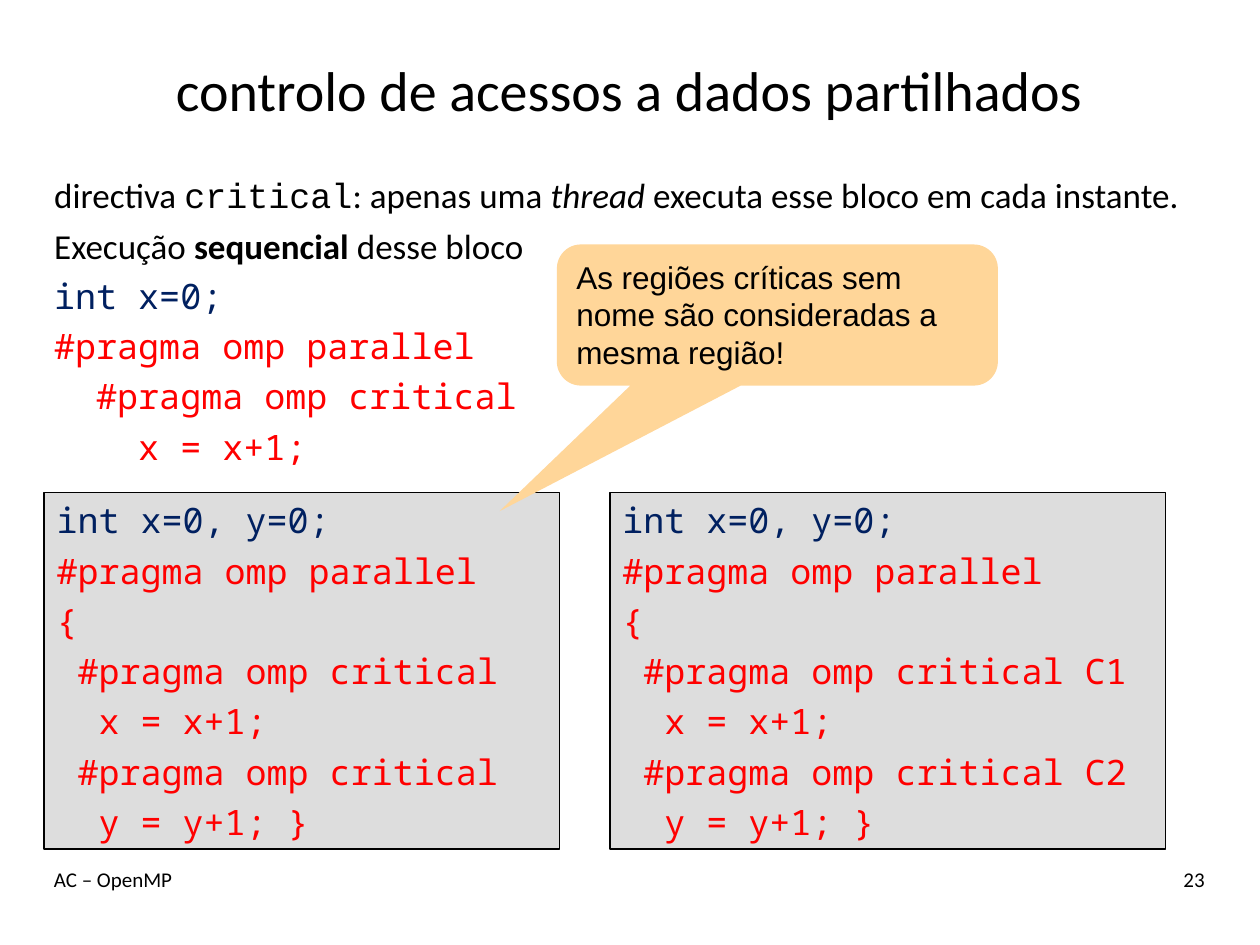
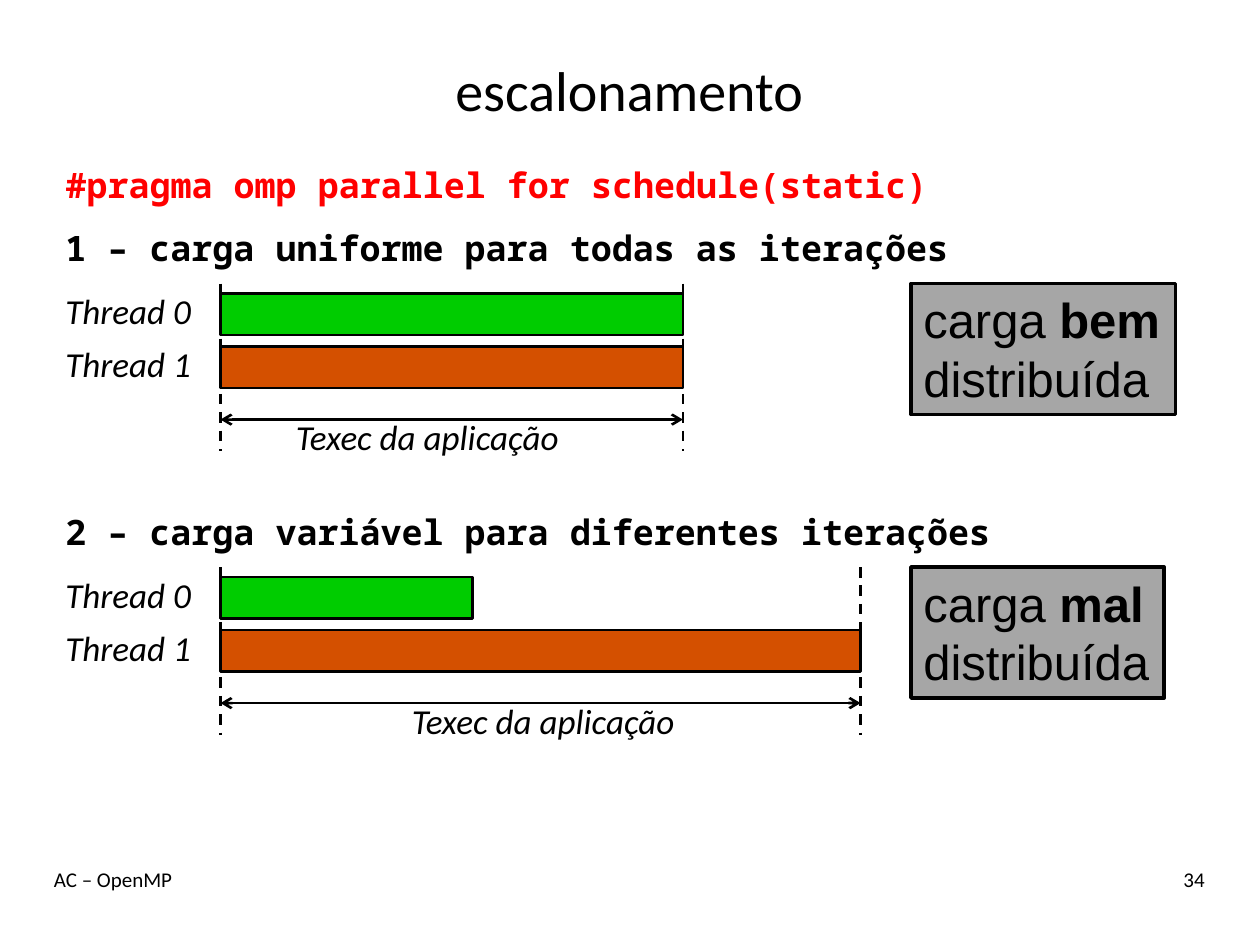
from lxml.etree import SubElement
from pptx import Presentation
from pptx.dml.color import RGBColor as RGB
from pptx.enum.dml import MSO_LINE as Dash
from pptx.enum.shapes import MSO_CONNECTOR as Wire, MSO_SHAPE as Kind
from pptx.enum.text import MSO_ANCHOR as Anchor, MSO_AUTO_SIZE as Fit, PP_ALIGN as Align
from pptx.oxml.ns import qn
from pptx.util import Inches, Pt

BLACK, RED, NAVY = "000000", "FF0000", "002060"
GREEN, RUST, PEACH = "00CC00", "D45000", "FFD699"
PALE, GREY = "DDDDDD", "A6A6A6"
SANS, MONO, ARIAL = "Calibri", "Noto Sans Mono", "Arial"
LEFT = 1.75
BAR = 0.33


def tint(code):
    return RGB.from_string(code)


def run(text, size=20, font=SANS, color=BLACK, bold=False, slant=False):
    return text, size, font, color, bold, slant


def code(text, color=RED, bold=False):
    return run(text, font=MONO, color=color, bold=bold)


def write(frame, lines, align=Align.LEFT, anchor=Anchor.TOP, gap=0, wrap=True, plain=False):
    frame.auto_size = Fit.NONE
    frame.word_wrap = wrap
    frame.vertical_anchor = anchor
    for n, line in enumerate(lines):
        para = frame.add_paragraph() if n else frame.paragraphs[0]
        if plain:
            props = para._p.get_or_add_pPr()
            props.set("marL", "0")
            props.set("indent", "0")
            SubElement(props, qn("a:buNone"))
        para.alignment = align
        para.space_before = Pt(gap if n else 0)
        for text, size, font, color, bold, slant in line:
            part = para.add_run()
            part.text = text
            face = part.font
            face.size, face.name = Pt(size), font
            face.bold, face.italic = bold, slant
            face.color.rgb = tint(color)


def place(item, box):
    item.left, item.top, item.width, item.height = map(Inches, box)


def label(slide, box, line, **style):
    item = slide.shapes.add_textbox(*map(Inches, box))
    write(item.text_frame, [line], **style)


def shape(slide, box, fill, edge=None, kind=Kind.RECTANGLE):
    item = slide.shapes.add_shape(kind, *map(Inches, box))
    item.shadow.inherit = False
    item.fill.solid()
    item.fill.fore_color.rgb = tint(fill)
    if edge:
        item.line.color.rgb = tint(BLACK)
        item.line.width = Pt(edge)
    else:
        item.line.fill.background()
    return item


def rule(slide, start, end, arrow=False):
    item = slide.shapes.add_connector(Wire.STRAIGHT, *map(Inches, start + end))
    item.line.color.rgb = tint(BLACK)
    item.line.width = Pt(1.5)
    if arrow:
        stroke = item.line._get_or_add_ln()
        for tag in ("a:headEnd", "a:tailEnd"):
            SubElement(stroke, qn(tag), type="arrow")
    else:
        item.line.dash_style = Dash.DASH
    SubElement(item._element.spPr, qn("a:effectLst"))


def page(deck, title, number, box, lines):
    slide = deck.slides.add_slide(deck.slide_layouts[1])
    head, body = slide.placeholders
    place(head, (0.33, 0.25, 9.33, 0.92))
    write(head.text_frame, [[run(title, 32)]], Align.CENTER, Anchor.MIDDLE)
    place(body, box)
    write(body.text_frame, lines, gap=4.7, plain=True)
    label(slide, (0.33, 6.83, 7, 0.5), [run("AC – OpenMP", 12)])
    label(slide, (8.33, 6.83, 1.33, 0.5), [run(number, 12)], align=Align.RIGHT)
    return slide


def listing(slide, left, width, names):
    first, second = names
    lines = [[code("int x=0, y=0;", NAVY)]]
    lines += [[code(text)] for text in (
        "#pragma omp parallel", "{",
        " #pragma omp critical" + first, "  x = x+1;",
        " #pragma omp critical" + second, "  y = y+1; }")]
    item = shape(slide, (left, 3.91, width, 2.83), PALE, 0.75)
    write(item.text_frame, lines, gap=4.7)


def chart(slide, top, title, spans, mid):
    end = LEFT + max(spans)
    label(slide, (mid, top + 1.5, 2.67, 0.5), [run("Texec da aplicação", slant=True)])
    label(slide, (0.42, top, 9.25, 0.58), [code(title, BLACK, True)])
    for n, (span, fill) in enumerate(zip(spans, (GREEN, RUST))):
        drop = top + 0.5 + n * 0.42
        label(slide, (0.42, drop, 1.33, 0.5), [run(f"Thread {n}", slant=True)])
        shape(slide, (LEFT, drop + 0.08, span, BAR), fill, 1.5)
    for x in (LEFT, end):
        rule(slide, (x, top + 0.5), (x, top + 1.83))
    rule(slide, (LEFT, top + 1.58), (end, top + 1.58), arrow=True)


def badge(slide, top, width, word):
    item = shape(slide, (7.23, top, width, 1.04), GREY, 2)
    write(item.text_frame, [
        [run("carga ", 28, ARIAL), run(word, 28, ARIAL, bold=True)],
        [run("distribuída", 28, ARIAL)]], wrap=False)


def access(deck):
    lines = [
        [run("directiva "), run("critical", font="Courier New"), run(": apenas uma "),
         run("thread ", slant=True), run("executa esse bloco em cada instante.")],
        [run("Execução "), run("sequencial ", bold=True), run("desse bloco")],
        [code("int x=0;", NAVY)],
        [code("#pragma omp parallel")],
        [code("  #pragma omp critical")],
        [code("    x = x+1;")]]
    slide = page(deck, "controlo de acessos a dados partilhados", "23",
                 (0.33, 1.33, 9.33, 2.42), lines)
    listing(slide, 0.35, 4.09, ("", ""))
    listing(slide, 4.84, 4.41, (" C1", " C2"))
    note = shape(slide, (4.42, 1.94, 3.5, 1.12), PEACH, kind=Kind.ROUNDED_RECTANGULAR_CALLOUT)
    for n, value in enumerate((-0.63, 1.39, 0.17)):
        note.adjustments[n] = value
    write(note.text_frame, [[run(
        "As regiões críticas sem nome são consideradas a mesma região!", 18, ARIAL)]])


def schedule(deck):
    slide = page(deck, "escalonamento", "34", (0.42, 1.25, 9.25, 0.58),
                 [[code("#pragma omp parallel for schedule(static)", bold=True)]])
    chart(slide, 1.75, "1 – carga uniforme para todas as iterações", (3.67, 3.67), 2.25)
    chart(slide, 4, "2 – carga variável para diferentes iterações", (2, 5.08), 3.17)
    badge(slide, 2.25, 2.1, "bem")
    badge(slide, 4.5, 2.01, "mal")


def main():
    deck = Presentation()
    deck.slide_width, deck.slide_height = Inches(10), Inches(7.5)
    access(deck)
    schedule(deck)
    deck.save("out.pptx")


if __name__ == "__main__":
    main()
